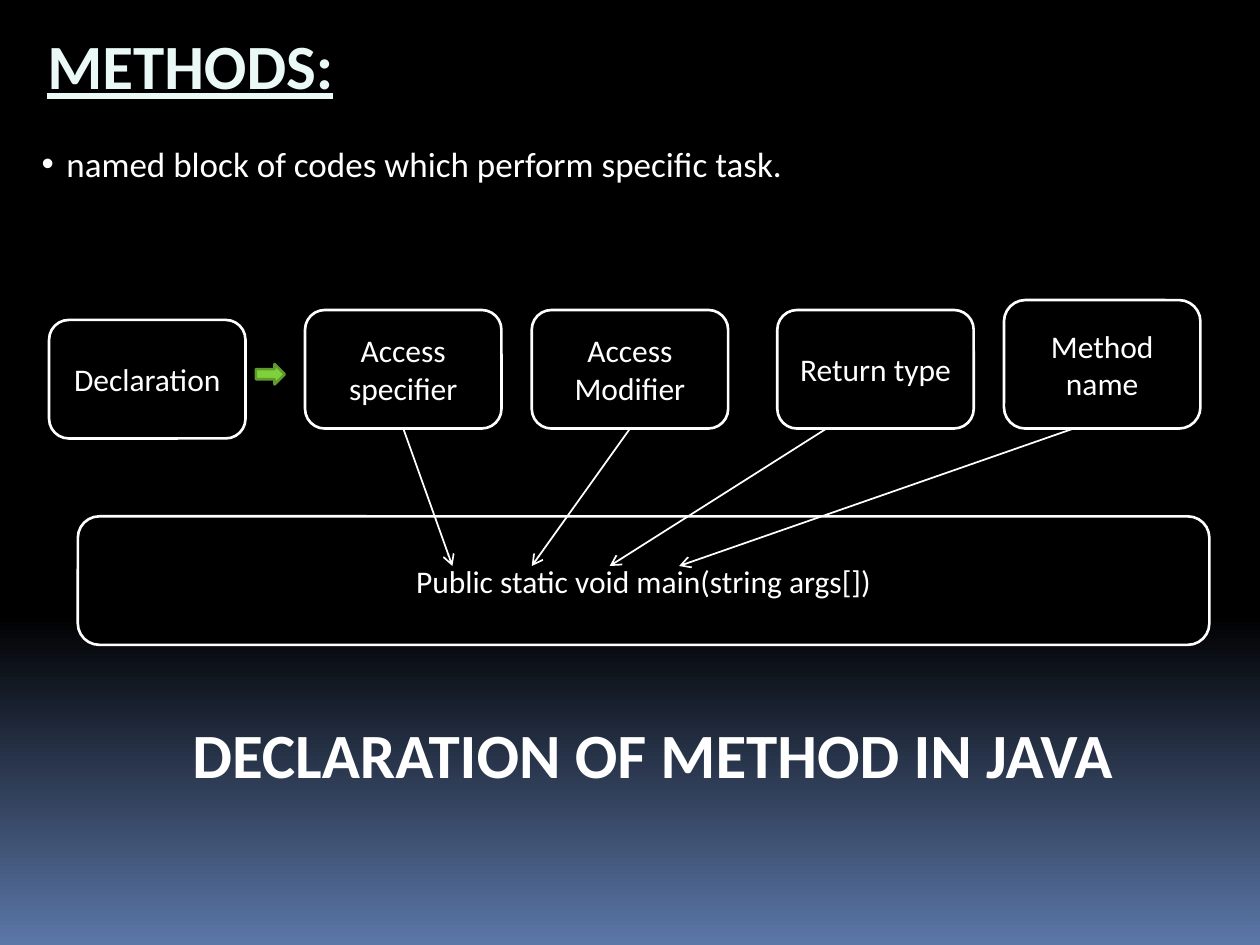
from pptx import Presentation
from pptx.dml.color import RGBColor
from pptx.enum.shapes import MSO_CONNECTOR, MSO_SHAPE
from pptx.enum.text import MSO_ANCHOR, PP_ALIGN
from pptx.oxml.ns import qn
from pptx.util import Cm, Pt
from lxml.etree import SubElement

COLORS = {"black": "000000", "white": "FFFFFF", "blue": "5B77A8",
          "mint": "EAF9F6", "green": "7FD13B", "dark_green": "5E9B2C"}
BOX_W, BOX_H = 3.96, 2.39


def rgb(name):
    return RGBColor.from_string(COLORS[name])


def write(tf, text, size=18, color="white", bold=False, underline=False,
          align=PP_ALIGN.CENTER, anchor=MSO_ANCHOR.TOP, wrap=True):
    tf.word_wrap = wrap
    tf.vertical_anchor = anchor
    p = tf.paragraphs[0]
    p.alignment = align
    r = p.add_run()
    r.text = text
    r.font.name, r.font.size = "Calibri", Pt(size)
    r.font.bold, r.font.underline = bold, underline
    r.font.color.rgb = rgb(color)
    return p


def add_text(s, x, y, w, h, text, **fmt):
    sp = s.shapes.add_textbox(Cm(x), Cm(y), Cm(w), Cm(h))
    return write(sp.text_frame, text, **fmt)


def add_shape(s, kind, x, y, w, h, fill="black", line="white"):
    sp = s.shapes.add_shape(kind, Cm(x), Cm(y), Cm(w), Cm(h))
    sp.shadow.inherit = False
    sp.fill.solid()
    sp.fill.fore_color.rgb = rgb(fill)
    sp.line.color.rgb = rgb(line)
    sp.line.width = Pt(1.5)
    return sp


def add_box(s, x, y, w, h, text):
    sp = add_shape(s, MSO_SHAPE.ROUNDED_RECTANGLE, x, y, w, h)
    write(sp.text_frame, text, anchor=MSO_ANCHOR.MIDDLE)
    return sp


def add_pointer(s, x1, y1, x2, y2):
    c = s.shapes.add_connector(MSO_CONNECTOR.STRAIGHT,
                               Cm(x1), Cm(y1), Cm(x2), Cm(y2))
    c.line.color.rgb = rgb("white")
    c.line.width = Pt(1)
    SubElement(c.line._get_or_add_ln(), qn("a:tailEnd"), type="arrow")
    SubElement(c._element.spPr, qn("a:effectLst"))
    return c


def add_background(s):
    fill = s.background.fill
    fill.gradient()
    fill.gradient_angle = 270
    for stop, position, color in zip(fill.gradient_stops, (0.65, 1), ("black", "blue")):
        stop.position = position
        stop.color.rgb = rgb(color)


def add_heading(s, x, y):
    add_text(s, x, y, 6.86, 1.8, "METHODS:", size=36, color="mint",
             bold=True, underline=True, wrap=False)
    p = add_text(s, x + 0.18, y + 2.33, 24.8, 1.12,
                 "named block of codes which perform specific task.",
                 size=20, align=PP_ALIGN.LEFT)
    pPr = p._p.get_or_add_pPr()
    pPr.set("marL", str(Cm(0.5)))
    pPr.set("indent", str(-Cm(0.5)))
    SubElement(pPr, qn("a:buFont"), typeface="Arial")
    SubElement(pPr, qn("a:buChar"), char="•")


def add_declaration(s, x, y):
    """Draw the parts of a declaration, each pointing at its word in the signature."""
    add_box(s, x, y + 0.4, BOX_W, BOX_H, "Declaration")
    add_shape(s, MSO_SHAPE.RIGHT_ARROW, x + 4.17, y + 1.29, 0.58, 0.41,
              fill="green", line="dark_green")
    add_box(s, x + 0.58, y + 4.36, 22.81, 2.59,
            "Public static void main(string args[])")

    bottom = y + 2.59
    # text, box left, box height, pointer start (None: middle of the side), pointer end
    parts = [("Access specifier", 5.16, BOX_H, None, 8.13),
             ("Access Modifier", 9.73, BOX_H, None, 9.73),
             ("Return type", 14.68, BOX_H, 15.67, 11.3),
             ("Method name", 19.25, 2.59, 20.65, 12.7)]
    for text, left, h, start, end in parts:
        box = add_box(s, x + left, bottom - h, BOX_W, h, text)
        x1 = left + BOX_W / 2 if start is None else start
        pointer = add_pointer(s, x + x1, bottom, x + end, y + 5.36)
        if start is None:
            pointer.begin_connect(box, 2)


def main():
    prs = Presentation()
    prs.slide_width, prs.slide_height = Cm(25.4), Cm(19.05)
    s = prs.slides.add_slide(prs.slide_layouts[6])
    add_background(s)
    add_heading(s, 0.41, 0.41)
    add_declaration(s, 0.99, 6.05)
    add_text(s, 2.39, 14.3, 21.54, 1.8, "DECLARATION OF METHOD IN JAVA",
             size=36, bold=True)
    prs.save("out.pptx")


if __name__ == "__main__":
    main()
